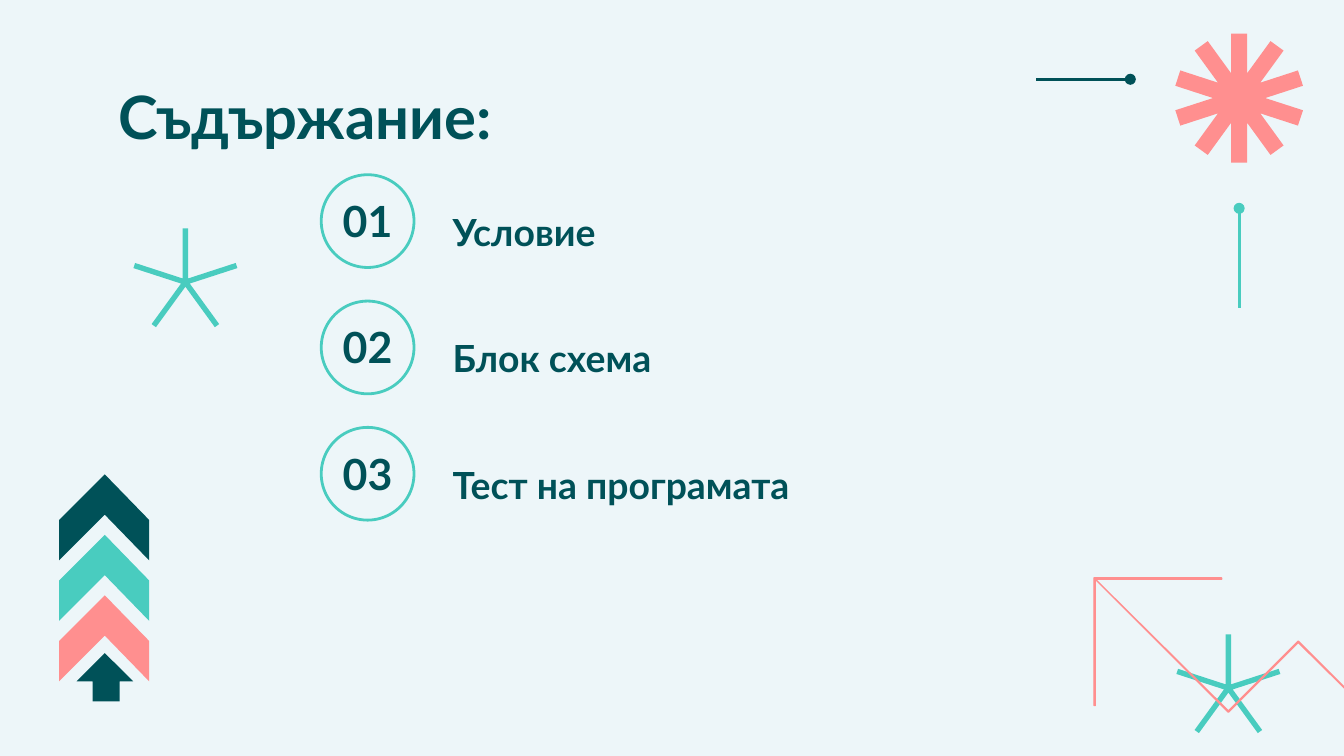
import math

import pptx
import pptx.dml.color
import pptx.enum.shapes
import pptx.enum.text
import pptx.oxml
import pptx.oxml.ns
import pptx.util
from pptx.util import Inches

COLORS = {"back": "EDF6F9", "dark": "005158", "teal": "49CCBF", "coral": "FF8F8F"}
FONT = "Lato"
ITEMS = ["Условие", "Блок схема", "Тест на програмата"]


def rgb(name):
    return pptx.dml.color.RGBColor.from_string(COLORS[name])


def draw_outline(s, left, top, points, color, line=None):
    pts = [(Inches(left + x), Inches(top + y)) for x, y in points]
    builder = s.shapes.build_freeform(*pts[0], scale=1.0)
    builder.add_line_segments(pts[1:], close=True)
    sp = builder.convert_to_shape()
    sp.shadow.inherit = False
    sp.fill.solid()
    sp.fill.fore_color.rgb = rgb(color)
    if line:
        sp.line.color.rgb = rgb(color)
        sp.line.width = pptx.util.Pt(line)
    else:
        sp.line.fill.background()


def draw_star(s, cx, cy, rays, radius, width, color):
    half = width / 2
    notch = half / math.sin(math.pi / rays)
    points = []
    for i in range(rays):
        a = 2 * math.pi * i / rays
        dx, dy = math.sin(a), -math.cos(a)
        for side in (-half, half):
            points.append((radius * dx - side * dy, radius * dy + side * dx))
        b = a + math.pi / rays
        points.append((notch * math.sin(b), -notch * math.cos(b)))
    draw_outline(s, cx, cy, points, color)


def draw_pin(s, x1, y1, x2, y2, color):
    cn = s.shapes.add_connector(pptx.enum.shapes.MSO_CONNECTOR.STRAIGHT,
                                Inches(x1), Inches(y1), Inches(x2), Inches(y2))
    cn.line.color.rgb = rgb(color)
    cn.line.width = pptx.util.Pt(1.5)
    ns = pptx.oxml.ns.nsdecls("a")
    sp_pr = cn._element.spPr
    sp_pr.find(pptx.oxml.ns.qn("a:ln")).append(
        pptx.oxml.parse_xml(f'<a:tailEnd {ns} type="oval"/>'))
    sp_pr.append(pptx.oxml.parse_xml(f"<a:effectLst {ns}/>"))


def draw_zigzag(s, left, top):
    points = [(0.95, 0), (0.95, 0.01), (0.01, 0.01), (1, 0.99), (1.52, 0.47),
              (2.36, 1.31), (1.52, 0.48), (1, 1), (0.01, 0.01), (0.01, 0.95),
              (0, 0.95), (0, 0)]
    draw_outline(s, left, top, points, "coral", 0.75)


def draw_arrow_stack(s, left, top):
    chevron = [(0, 0.34), (0.34, 0), (0.67, 0.34), (0.67, 0.64), (0.34, 0.3), (0, 0.64)]
    for i, color in enumerate(("dark", "teal", "coral")):
        draw_outline(s, left, top + 0.45 * i, chevron, color)
    arrow = [(0.21, 0), (0, 0.21), (0.12, 0.21), (0.12, 0.36),
             (0.32, 0.36), (0.32, 0.21), (0.42, 0.21)]
    draw_outline(s, left + 0.13, top + 1.33, arrow, "dark")


def set_text(sp, text, size, anchor, align):
    tf = sp.text_frame
    tf.word_wrap = True
    tf.auto_size = pptx.enum.text.MSO_AUTO_SIZE.NONE
    tf.vertical_anchor = anchor
    tf.margin_left = tf.margin_right = Inches(0.1)
    tf.margin_top = tf.margin_bottom = Inches(0.1)
    p = tf.paragraphs[0]
    p.text = text
    p.alignment = align
    p.font.name = FONT
    p.font.size = pptx.util.Pt(size)
    p.font.bold = True
    p.font.color.rgb = rgb("dark")
    return p


def place_title(s, left, top, width, height):
    sp = s.shapes.title
    sp.left, sp.top = Inches(left), Inches(top)
    sp.width, sp.height = Inches(width), Inches(height)
    set_text(sp, "Съдържание:", 32, pptx.enum.text.MSO_ANCHOR.TOP,
             pptx.enum.text.PP_ALIGN.LEFT)


def draw_item(s, left, top, number, label):
    size = Inches(0.69)
    sp = s.shapes.add_shape(pptx.enum.shapes.MSO_SHAPE.OVAL,
                            Inches(left), Inches(top), size, size)
    sp.shadow.inherit = False
    sp.fill.background()
    sp.line.color.rgb = rgb("teal")
    sp.line.width = pptx.util.Pt(1.5)
    box = s.shapes.add_textbox(Inches(left), Inches(top + 0.11), size, Inches(0.46))
    set_text(box, f"{number:02}", 23, pptx.enum.text.MSO_ANCHOR.MIDDLE,
             pptx.enum.text.PP_ALIGN.CENTER)
    box = s.shapes.add_textbox(Inches(left + 0.88), Inches(top + 0.18),
                               Inches(4.66), Inches(0.51))
    p = set_text(box, label, 20, pptx.enum.text.MSO_ANCHOR.BOTTOM,
                 pptx.enum.text.PP_ALIGN.LEFT)
    p.line_spacing = 1.15


def draw_contents(s, left, top, pitch):
    for i, label in enumerate(ITEMS):
        draw_item(s, left, top + pitch * i, i + 1, label)


def draw_decorations(s):
    draw_star(s, 9.14, 5.12, 5, 0.4, 0.04, "teal")
    draw_star(s, 9.22, 0.73, 10, 0.48, 0.12, "coral")
    draw_zigzag(s, 8.14, 4.3)
    draw_pin(s, 9.22, 2.29, 9.22, 1.55, "teal")
    draw_pin(s, 7.71, 0.59, 8.41, 0.59, "dark")
    draw_arrow_stack(s, 0.44, 3.53)
    draw_star(s, 1.38, 2.1, 5, 0.4, 0.04, "teal")


def main():
    prs = pptx.Presentation()
    prs.slide_width = Inches(10)
    prs.slide_height = prs.slide_width * 9 // 16
    s = prs.slides.add_slide(prs.slide_layouts.get_by_name("Title Only"))
    s.background.fill.solid()
    s.background.fill.fore_color.rgb = rgb("back")
    draw_decorations(s)
    place_title(s, 0.78, 0.49, 8.44, 0.63)
    draw_contents(s, 2.39, 1.3, 0.94)
    prs.save("out.pptx")


if __name__ == "__main__":
    main()
